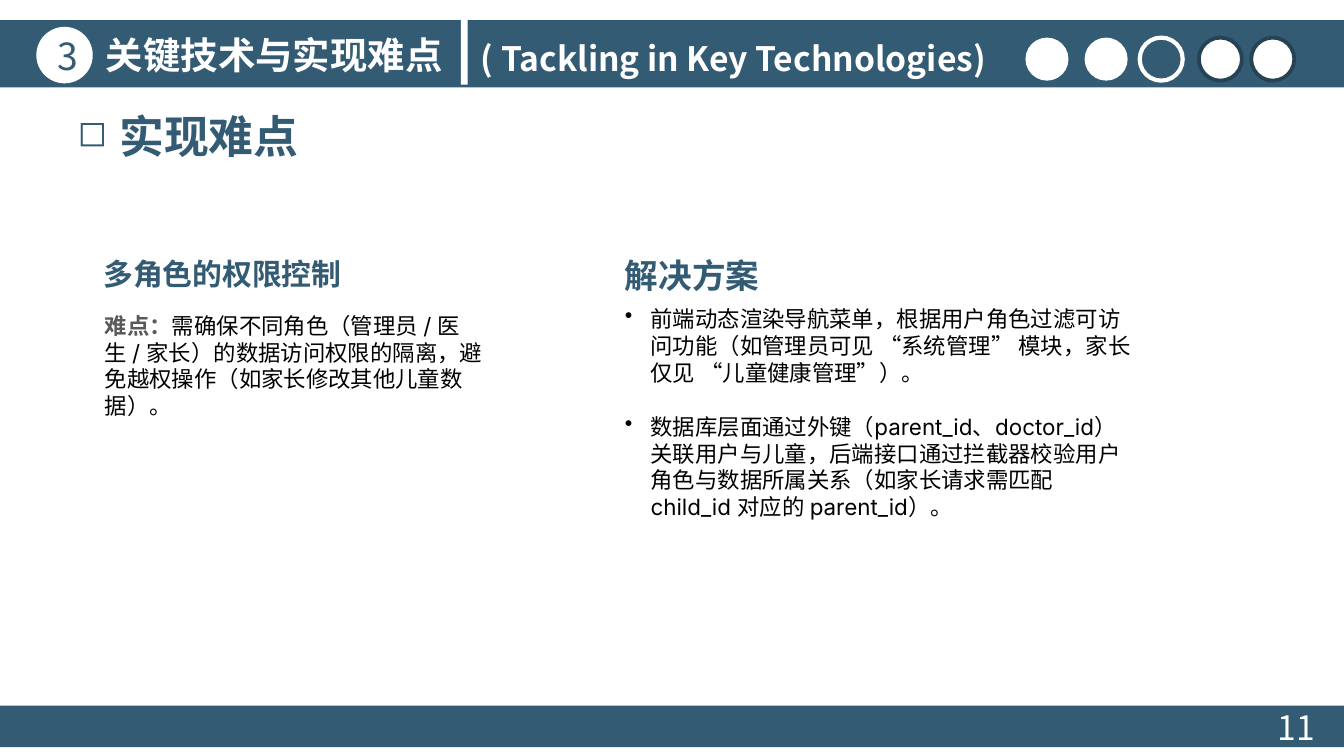
from dataclasses import dataclass
from typing import Optional

from lxml import etree
from pptx import Presentation
from pptx.dml.color import RGBColor
from pptx.enum.shapes import MSO_SHAPE
from pptx.enum.text import MSO_ANCHOR, MSO_AUTO_SIZE, PP_ALIGN
from pptx.oxml.ns import qn
from pptx.util import Inches, Pt

RECTANGLE, OVAL = MSO_SHAPE.RECTANGLE, MSO_SHAPE.OVAL
TOP, MIDDLE = MSO_ANCHOR.TOP, MSO_ANCHOR.MIDDLE
GROW, FIXED = MSO_AUTO_SIZE.SHAPE_TO_FIT_TEXT, MSO_AUTO_SIZE.NONE
CENTER = PP_ALIGN.CENTER


@dataclass(frozen=True)
class Theme:
    navy: str = "335B74"
    ring: str = "264356"
    white: str = "FFFFFF"
    gray: str = "595959"
    black: str = "000000"
    chinese_font: str = "Noto Sans CJK SC"
    body_font: str = "Inter"
    section: int = 24
    title: int = 20
    subtitle: int = 18
    heading: int = 16
    body: int = 12
    paragraph_gap: float = 14.5


THEME = Theme()


@dataclass(frozen=True)
class Box:
    left: float
    top: float
    width: float
    height: float

    def lengths(self) -> tuple:
        return tuple(Inches(v) for v in (self.left, self.top, self.width, self.height))


@dataclass(frozen=True)
class Words:
    text: str
    size: int
    color: str
    bold: bool = True
    font: str = THEME.chinese_font


@dataclass(frozen=True)
class Bullet:
    character: str
    indent: float
    percent: int = 100


@dataclass(frozen=True)
class TextBlock:
    box: Box
    paragraphs: list[list[Words]]
    wrap: bool = True
    grow: bool = False
    anchor: MSO_ANCHOR = TOP
    vertical_inset: float = 0
    bullet: Optional[Bullet] = None


@dataclass(frozen=True)
class ProgressDot:
    left: float
    fill: Optional[str] = None
    line: Optional[str] = None
    line_width: float = 0


def add_figure(slide, kind: MSO_SHAPE, box: Box, fill: Optional[str],
               line: Optional[str] = None, line_width: float = 0):
    shape = slide.shapes.add_shape(kind, *box.lengths())
    shape.shadow.inherit = False
    if fill:
        shape.fill.solid()
        shape.fill.fore_color.rgb = RGBColor.from_string(fill)
    else:
        shape.fill.background()
    if line:
        shape.line.color.rgb = RGBColor.from_string(line)
        shape.line.width = Pt(line_width)
    else:
        shape.line.fill.background()
    return shape


def add_words(paragraph, words: Words) -> None:
    """Add one run, with the Chinese font for its East Asian characters."""
    run = paragraph.add_run()
    run.text = words.text
    run.font.name = words.font
    run.font.size = Pt(words.size)
    run.font.bold = words.bold
    run.font.color.rgb = RGBColor.from_string(words.color)
    east_asian = etree.SubElement(run.font._element, qn("a:ea"))
    east_asian.set("typeface", THEME.chinese_font)


def set_bullet(paragraph, bullet: Bullet) -> None:
    properties = paragraph._p.get_or_add_pPr()
    properties.set("marL", str(Inches(bullet.indent)))
    properties.set("indent", str(-Inches(bullet.indent)))
    etree.SubElement(properties, qn("a:buSzPct")).set("val", str(bullet.percent * 1000))
    etree.SubElement(properties, qn("a:buChar")).set("char", bullet.character)


def add_text(slide, block: TextBlock) -> None:
    frame = slide.shapes.add_textbox(*block.box.lengths()).text_frame
    frame.word_wrap = block.wrap
    frame.auto_size = GROW if block.grow else FIXED
    frame.vertical_anchor = block.anchor
    frame.margin_left = frame.margin_right = Inches(0.1 if block.grow else 0.08)
    frame.margin_top = frame.margin_bottom = Inches(block.vertical_inset)
    for index, content in enumerate(block.paragraphs):
        paragraph = frame.add_paragraph() if index else frame.paragraphs[0]
        if index:
            paragraph.space_before = Pt(THEME.paragraph_gap)
        if block.bullet:
            set_bullet(paragraph, block.bullet)
        for words in content:
            add_words(paragraph, words)


def label(box: Box, words: Words, wrap: bool = False,
          bullet: Optional[Bullet] = None) -> TextBlock:
    """Describe a one-line box that fits its text."""
    return TextBlock(box, [[words]], wrap, True, vertical_inset=0.05, bullet=bullet)


def body(text: str) -> Words:
    return Words(text, THEME.body, THEME.black, False, THEME.body_font)


BARS = [
    (Box(0, 0.15, 10, 0.5), THEME.navy),
    (Box(3.43, 0.15, 0.05, 0.48), THEME.white),
    (Box(0, 5.25, 10, 0.31), THEME.navy),
]
PROGRESS_DOTS = [
    ProgressDot(7.63, THEME.white),
    ProgressDot(8.07, THEME.white),
    ProgressDot(8.48, None, THEME.white, 2.25),
    ProgressDot(8.92, THEME.white, THEME.ring, 2),
    ProgressDot(9.31, THEME.white, THEME.ring, 2),
]
TEXT_BLOCKS = [
    label(Box(9.41, 5.21, 0.59, 0.4),
          Words("11", THEME.subtitle, THEME.white, False), wrap=True),
    label(Box(0.69, 0.19, 2.73, 0.44),
          Words("关键技术与实现难点", THEME.title, THEME.white)),
    label(Box(3.48, 0.23, 4.11, 0.4),
          Words("( Tackling in Key Technologies)", THEME.subtitle, THEME.white)),
    label(Box(0.48, 0.76, 2.05, 0.5),
          Words("实现难点", THEME.section, THEME.navy), wrap=True,
          bullet=Bullet("◻", 0.31, 80)),
    TextBlock(Box(0.7, 2.31, 3.06, 0.82), [[
        Words("难点：", THEME.body, THEME.gray),
        body("需确保不同角色（管理员 / 医生 / 家长）的数据访问权限的隔离，"
             "避免越权操作（如家长修改其他儿童数据）。"),
    ]], anchor=MIDDLE),
    TextBlock(Box(0.69, 1.9, 2.46, 0.2),
              [[Words("多角色的权限控制", THEME.heading, THEME.navy)]], wrap=False),
    TextBlock(Box(4.57, 1.9, 1.92, 0.36),
              [[Words("解决方案", THEME.subtitle, THEME.navy)]], wrap=False),
    TextBlock(Box(4.57, 2.27, 3.95, 1.72), [
        [body("前端动态渲染导航菜单，根据用户角色过滤可访问功能"
              "（如管理员可见 “系统管理” 模块，家长仅见 “儿童健康管理”）。")],
        [body("数据库层面通过外键（parent_id、doctor_id）关联用户与儿童，"
              "后端接口通过拦截器校验用户角色与数据所属关系"
              "（如家长请求需匹配 child_id 对应的 parent_id）。")],
    ], bullet=Bullet("•", 0.19)),
]


def add_section_number(slide) -> None:
    badge = add_figure(slide, OVAL, Box(0.27, 0.2, 0.42, 0.42), THEME.white)
    frame = badge.text_frame
    frame.vertical_anchor = MIDDLE
    frame.paragraphs[0].alignment = CENTER
    add_words(frame.paragraphs[0], Words("3", THEME.title, THEME.navy, False))


def main() -> None:
    presentation = Presentation()
    # A 16:9 page needs the exact height.
    presentation.slide_width = Inches(10)
    presentation.slide_height = Inches(10 * 9 / 16)
    slide = presentation.slides.add_slide(presentation.slide_layouts[6])
    for box, color in BARS:
        add_figure(slide, RECTANGLE, box, color)
    for dot in PROGRESS_DOTS:
        add_figure(slide, OVAL, Box(dot.left, 0.28, 0.32, 0.32),
                   dot.fill, dot.line, dot.line_width)
    add_section_number(slide)
    for block in TEXT_BLOCKS:
        add_text(slide, block)
    presentation.save("out.pptx")


if __name__ == "__main__":
    main()
